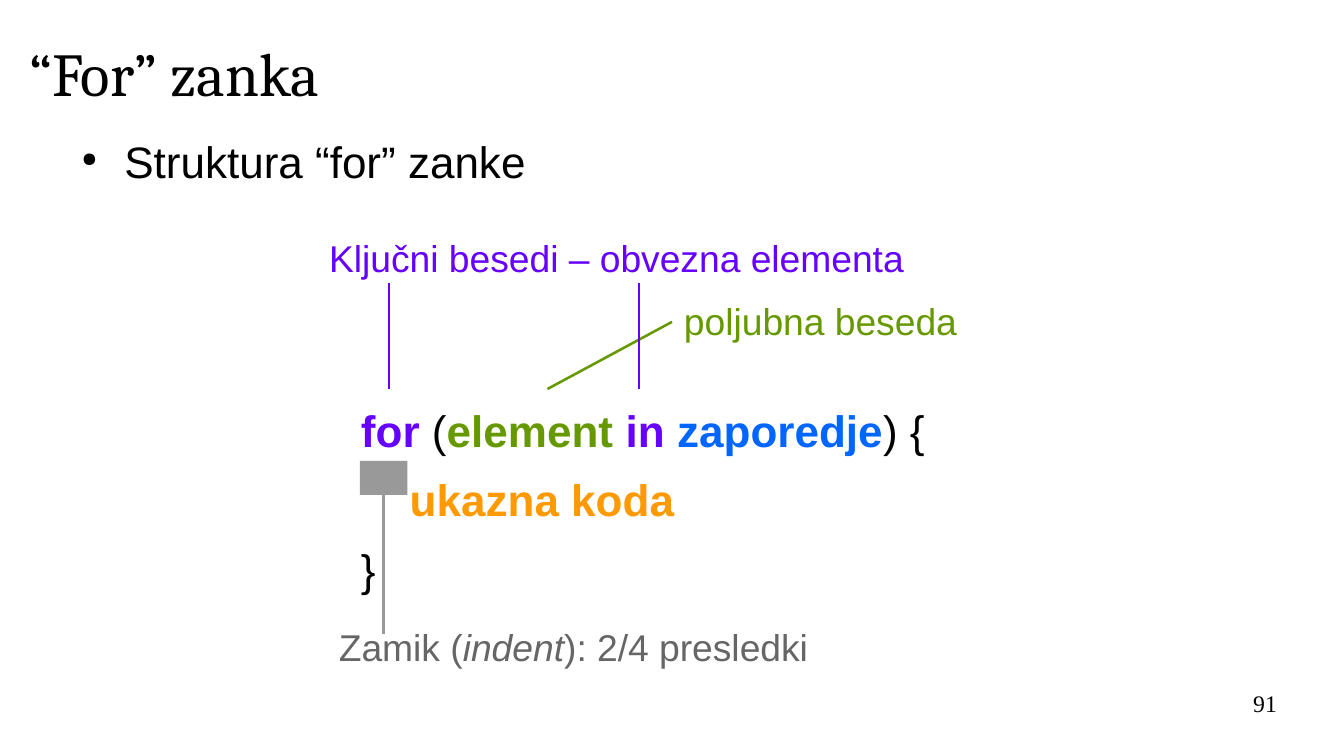
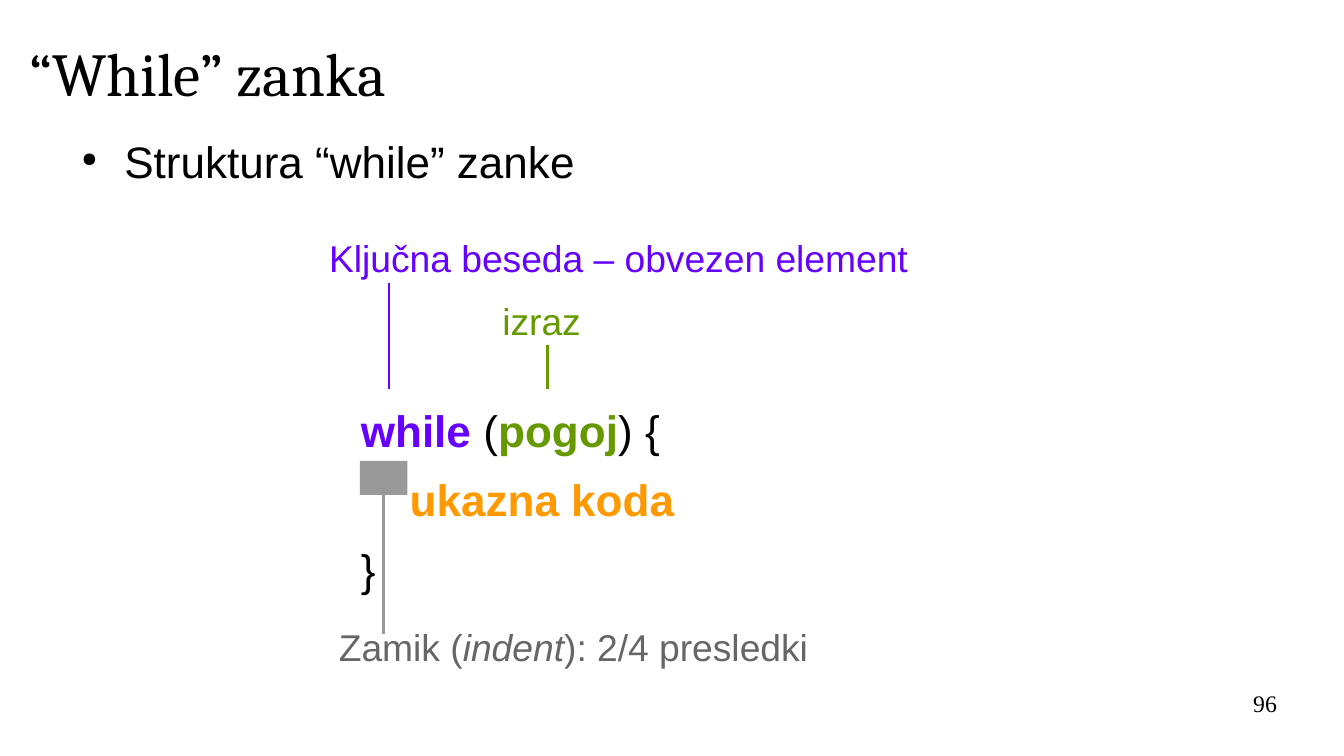
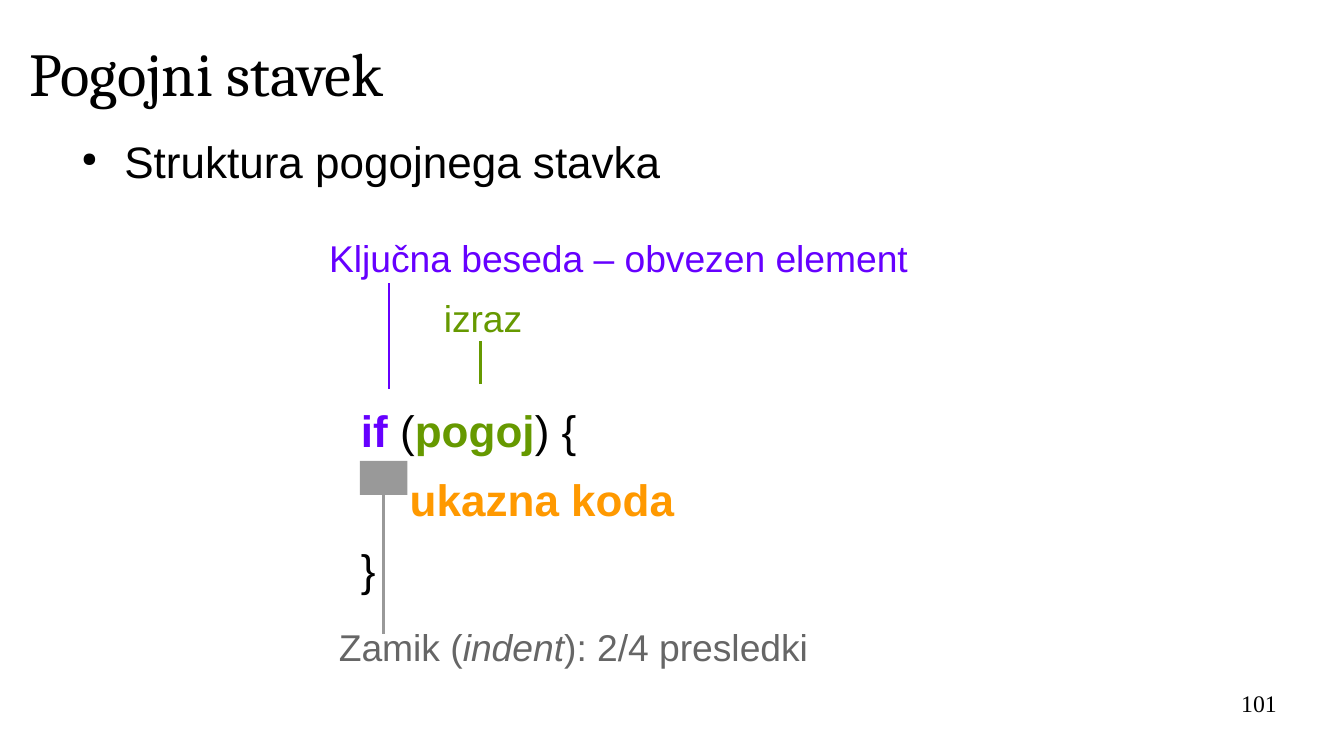
from dataclasses import dataclass

from lxml.etree import SubElement
from pptx import Presentation
from pptx.dml.color import RGBColor
from pptx.enum.shapes import MSO_CONNECTOR as Connector, MSO_SHAPE as Shape
from pptx.enum.text import MSO_ANCHOR as Anchor, MSO_AUTO_SIZE as AutoSize, PP_ALIGN as Align
from pptx.oxml.ns import qn
from pptx.util import Inches, Pt

BLACK = RGBColor(0x00, 0x00, 0x00)
PURPLE = RGBColor(0x66, 0x00, 0xFF)
GREEN = RGBColor(0x66, 0x99, 0x00)
BLUE = RGBColor(0x00, 0x66, 0xFF)
ORANGE = RGBColor(0xFF, 0x99, 0x00)
GRAY = RGBColor(0x99, 0x99, 0x99)
DARK_GRAY = RGBColor(0x66, 0x66, 0x66)

BODY_FONT = "Arial"
TITLE_FONT = "Cambria"
NUMBER_FONT = "Times New Roman"
DIAGRAM_BOX = (2.6, 1.88)
LABEL_INSETS = (0.1, 0.05)


@dataclass
class Lesson:
    """Content of one slide; diagram positions are relative to its box."""

    title: str
    bullet: str
    number: str
    keyword_label: str
    keyword_marks: tuple
    term_label: str
    term_label_at: tuple
    term_line: tuple
    header: tuple


def style(font, size, color, name=BODY_FONT):
    """Set size, colour and typeface of a font."""
    font.size, font.name = Pt(size), name
    font.color.rgb = color


def set_insets(frame, side=0, end=0):
    """Set the inner margins of a text frame."""
    frame.margin_left = frame.margin_right = Inches(side)
    frame.margin_top = frame.margin_bottom = Inches(end)


def add_text_box(page, box, insets=(0, 0)):
    """Add a wrapping text box and return its frame."""
    frame = page.shapes.add_textbox(*map(Inches, box)).text_frame
    frame.word_wrap = True
    set_insets(frame, *insets)
    return frame


def add_label(page, box, text, color, size=22, name=BODY_FONT, insets=LABEL_INSETS):
    """Add a one-paragraph text in one style and return the paragraph."""
    para = add_text_box(page, box, insets).paragraphs[0]
    para.text = text
    style(para.font, size, color, name)
    return para


def add_line(page, start, end, color):
    """Add a straight line without shadow."""
    line = page.shapes.add_connector(Connector.STRAIGHT, *map(Inches, (*start, *end)))
    line.line.color.rgb = color
    line.line.width = Pt(1.5)
    SubElement(line._element.spPr, qn("a:effectLst"))
    return line


def add_title(page, text, box):
    """Place and format the title placeholder."""
    title = page.shapes.title
    title.left, title.top, title.width, title.height = map(Inches, box)
    frame = title.text_frame
    frame.text = text
    frame.auto_size = AutoSize.NONE
    frame.vertical_anchor = Anchor.MIDDLE
    set_insets(frame)
    para = frame.paragraphs[0]
    para.alignment = Align.LEFT
    style(para.font, 36, BLACK, TITLE_FONT)


def add_bullet(page, text, box):
    """Add the bulleted heading above the diagram."""
    para = add_label(page, box, text, BLACK, 26, insets=(0, 0))
    props = para._p.get_or_add_pPr()
    props.set("marL", str(Inches(0.47)))
    props.set("indent", str(Inches(-0.35)))
    size = SubElement(props, qn("a:buSzPct"), val="45000")
    size.addnext(props.makeelement(qn("a:buChar"), {"char": "●"}))
    props.insert_element_before(size, "a:buChar", "a:defRPr")


def add_code(page, header, box):
    """Write the header, the indented body line and the closing brace."""
    frame = add_text_box(page, box)
    lines = (header, (("ukazna koda", ORANGE),), (("}", BLACK),))
    for index, pieces in enumerate(lines):
        para = frame.add_paragraph() if index else frame.paragraphs[0]
        para.space_before = Pt(9.8 if index else 0)
        for text, color in pieces:
            span = para.add_run()
            span.text = text
            style(span.font, 26, color)
            span.font.bold = color != BLACK
    frame.paragraphs[1]._p.get_or_add_pPr().set("marL", str(Inches(0.4)))


def add_indent_mark(page, left, top):
    """Add the block that shows the indent, its line and its caption."""
    block = page.shapes.add_shape(
        Shape.RECTANGLE, *map(Inches, (left, top, 0.39, 0.28)))
    block.shadow.inherit = False
    block.fill.solid()
    block.fill.fore_color.rgb = GRAY
    block.line.fill.background()
    middle = left + 0.2
    line = add_line(page, (middle, top + 0.28), (middle, top + 1.42), GRAY)
    line.begin_connect(block, 2)
    line.end_x = line.begin_x

    para = add_label(page, (left - 0.27, top + 1.29, 5.35, 0.44), "", DARK_GRAY)
    for text in ("Zamik (", "indent", "): 2/4 presledki"):
        span = para.add_run()
        span.text = text
        span.font.italic = text == "indent"


def add_diagram(page, lesson, left, top):
    """Draw the annotated code structure from the given corner."""

    def place(point):
        """Turn a position in the diagram into one on the page."""
        return left + point[0], top + point[1]

    add_label(page, (left, top, 5.35, 0.44), lesson.keyword_label, PURPLE)
    add_label(page, (*place(lesson.term_label_at), 2.68, 0.44), lesson.term_label, GREEN)
    add_line(page, *map(place, lesson.term_line), GREEN)
    for mark in lesson.keyword_marks:
        add_line(page, place((mark, 1.31)), place((mark, 0.44)), PURPLE)
    add_code(page, lesson.header, (*place((0.36, 1.43)), 6, 1.6))
    add_indent_mark(page, *place((0.35, 1.9)))


def add_lesson(deck, lesson):
    """Add one slide with title, bullet, diagram and number."""
    page = deck.slides.add_slide(deck.slide_layouts[5])
    add_title(page, lesson.title, (0.24, 0.15, 9.92, 0.88))
    add_bullet(page, lesson.bullet, (0.55, 1.1, 10.39, 0.5))
    add_diagram(page, lesson, *DIAGRAM_BOX)
    number = add_label(page, (7.9, 5.65, 2.57, 0.43), lesson.number, BLACK, 14,
                       NUMBER_FONT, (0, 0))
    number.alignment = Align.RIGHT


def condition_header(keyword):
    """Return the coloured header of a structure with a condition."""
    return (keyword + " ", PURPLE), ("(", BLACK), ("pogoj", GREEN), (") {", BLACK)


LESSONS = (
    Lesson(
        "“For” zanka", "Struktura “for” zanke", "91",
        "Ključni besedi – obvezna elementa", (0.59, 2.64),
        "poljubna beseda", (2.91, 0.52), ((1.89, 1.31), (2.91, 0.76)),
        (("for ", PURPLE), ("(", BLACK), ("element ", GREEN), ("in ", PURPLE),
         ("zaporedje", BLUE), (") {", BLACK)),
    ),
    Lesson(
        "“While” zanka", "Struktura “while” zanke", "96",
        "Ključna beseda – obvezen element", (0.59,),
        "izraz", (1.42, 0.52), ((1.89, 1.31), (1.89, 0.95)),
        condition_header("while"),
    ),
    Lesson(
        "Pogojni stavek", "Struktura pogojnega stavka", "101",
        "Ključna beseda – obvezen element", (0.59,),
        "izraz", (0.94, 0.49), ((1.34, 1.27), (1.34, 0.92)),
        condition_header("if"),
    ),
)


def main():
    """Build and save the deck."""
    deck = Presentation()
    deck.slide_width, deck.slide_height = Inches(11.02), Inches(6.2)
    for lesson in LESSONS:
        add_lesson(deck, lesson)
    deck.save("out.pptx")


if __name__ == "__main__":
    main()
